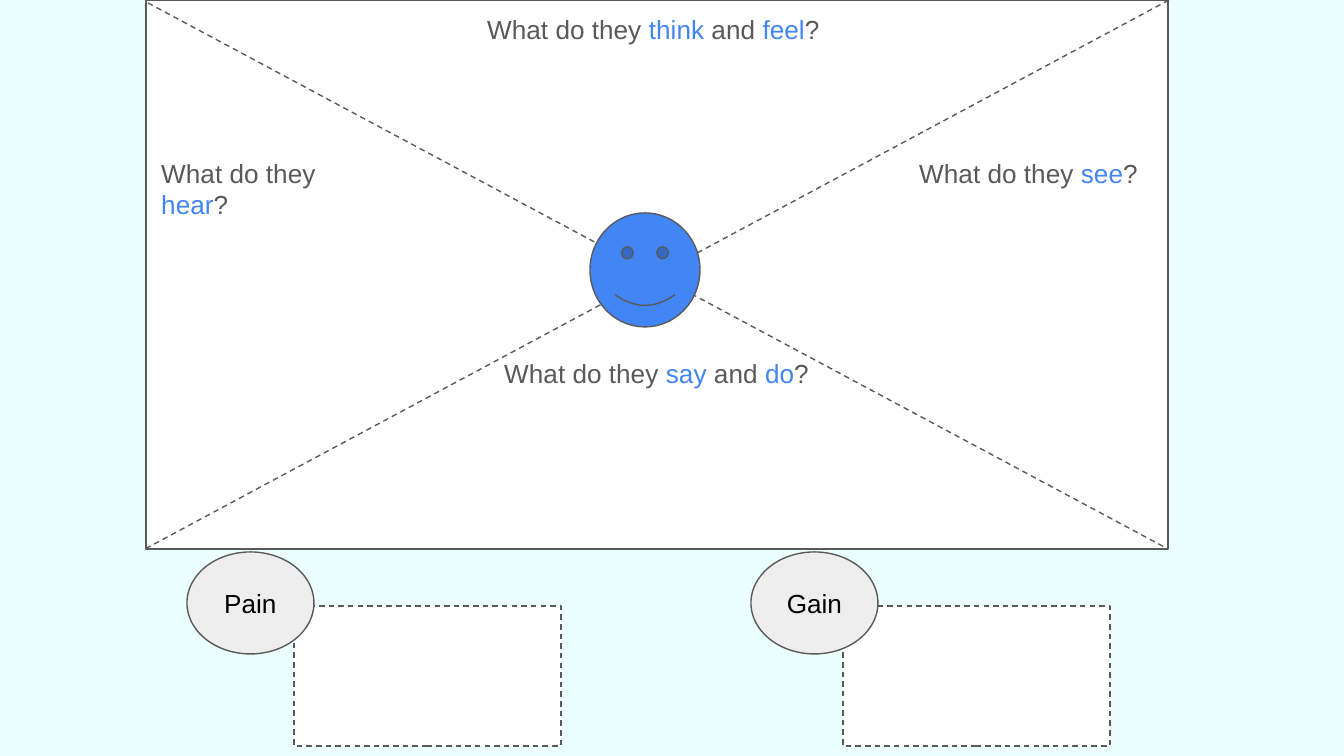
"""Build an empathy map slide with pain and gain boxes."""
from pptx import Presentation
from pptx.dml.color import RGBColor
from pptx.enum.dml import MSO_LINE
from pptx.enum.shapes import MSO_CONNECTOR, MSO_SHAPE
from pptx.enum.text import MSO_ANCHOR, PP_ALIGN
from pptx.oxml.ns import qn
from pptx.util import Emu, Inches, Pt
from lxml.etree import SubElement

PX = 914400 / 134.4
COLORS = {
    "background": "EAFFFE",
    "panel": "FFFFFF",
    "grey": "595959",
    "accent": "4285F4",
    "badge": "EEEEEE",
    "label": "000000",
}

MAP_AREA = (146, 0, 1022, 549)
DIAGONALS = [(148, 3, 1168, 549), (1169, 0, 145, 549)]
FACE = (590, 213, 110, 114)
QUESTIONS = [
    ((474, 0, 394, 52), ["think", "feel"]),
    ((148, 144, 255, 52), ["hear"]),
    ((906, 144, 277, 52), ["see"]),
    ((491, 344, 335, 52), ["say", "do"]),
]
OUTCOMES = [("Pain", 187, 294), ("Gain", 751, 843)]
BADGE_TOP, BADGE_SIZE = 552, (127, 102)
BOX_TOP, BOX_SIZE = 606, (267, 140)


def px(*lengths):
    return [Emu(round(length * PX)) for length in lengths]


def color(name):
    return RGBColor.from_string(COLORS[name])


def style_line(line, dashed):
    line.color.rgb = color("grey")
    line.width = Pt(0.75)
    if dashed:
        line.dash_style = MSO_LINE.DASH


def add_figure(slide, kind, place, fill, dashed=False):
    figure = slide.shapes.add_shape(kind, *px(*place))
    figure.shadow.inherit = False
    figure.fill.solid()
    figure.fill.fore_color.rgb = color(fill)
    style_line(figure.line, dashed)
    return figure


def add_diagonal(slide, ends):
    diagonal = slide.shapes.add_connector(MSO_CONNECTOR.STRAIGHT, *px(*ends))
    style_line(diagonal.line, True)
    SubElement(diagonal._element.spPr, qn("a:effectLst"))


def write(frame, runs):
    frame.word_wrap = True
    frame.margin_left = frame.margin_right = Inches(0.1)
    frame.margin_top = frame.margin_bottom = Inches(0.1)
    for words, tint in runs:
        run = frame.paragraphs[0].add_run()
        run.text = words
        run.font.size = Pt(14)
        run.font.name = "Arial"
        run.font.color.rgb = color(tint)


def add_question(slide, place, verbs):
    runs = []
    for lead, verb in zip(["What do they ", " and "], verbs):
        runs += [(lead, "grey"), (verb, "accent")]
    question = slide.shapes.add_textbox(*px(*place))
    write(question.text_frame, runs + [("?", "grey")])


def add_outcome(slide, label, badge_left, box_left):
    add_figure(slide, MSO_SHAPE.RECTANGLE, (box_left, BOX_TOP, *BOX_SIZE), "panel", True)
    badge = add_figure(slide, MSO_SHAPE.OVAL, (badge_left, BADGE_TOP, *BADGE_SIZE), "badge")
    write(badge.text_frame, [(label, "label")])
    badge.text_frame.vertical_anchor = MSO_ANCHOR.MIDDLE
    badge.text_frame.paragraphs[0].alignment = PP_ALIGN.CENTER


def main():
    deck = Presentation()
    deck.slide_width, deck.slide_height = px(1344, 756)
    slide = deck.slides.add_slide(deck.slide_layouts[6])
    slide.background.fill.solid()
    slide.background.fill.fore_color.rgb = color("background")

    add_figure(slide, MSO_SHAPE.RECTANGLE, MAP_AREA, "panel")
    for ends in DIAGONALS:
        add_diagonal(slide, ends)
    add_figure(slide, MSO_SHAPE.SMILEY_FACE, FACE, "accent")
    for place, verbs in QUESTIONS:
        add_question(slide, place, verbs)
    for label, badge_left, box_left in OUTCOMES:
        add_outcome(slide, label, badge_left, box_left)
    deck.save("out.pptx")


if __name__ == "__main__":
    main()
